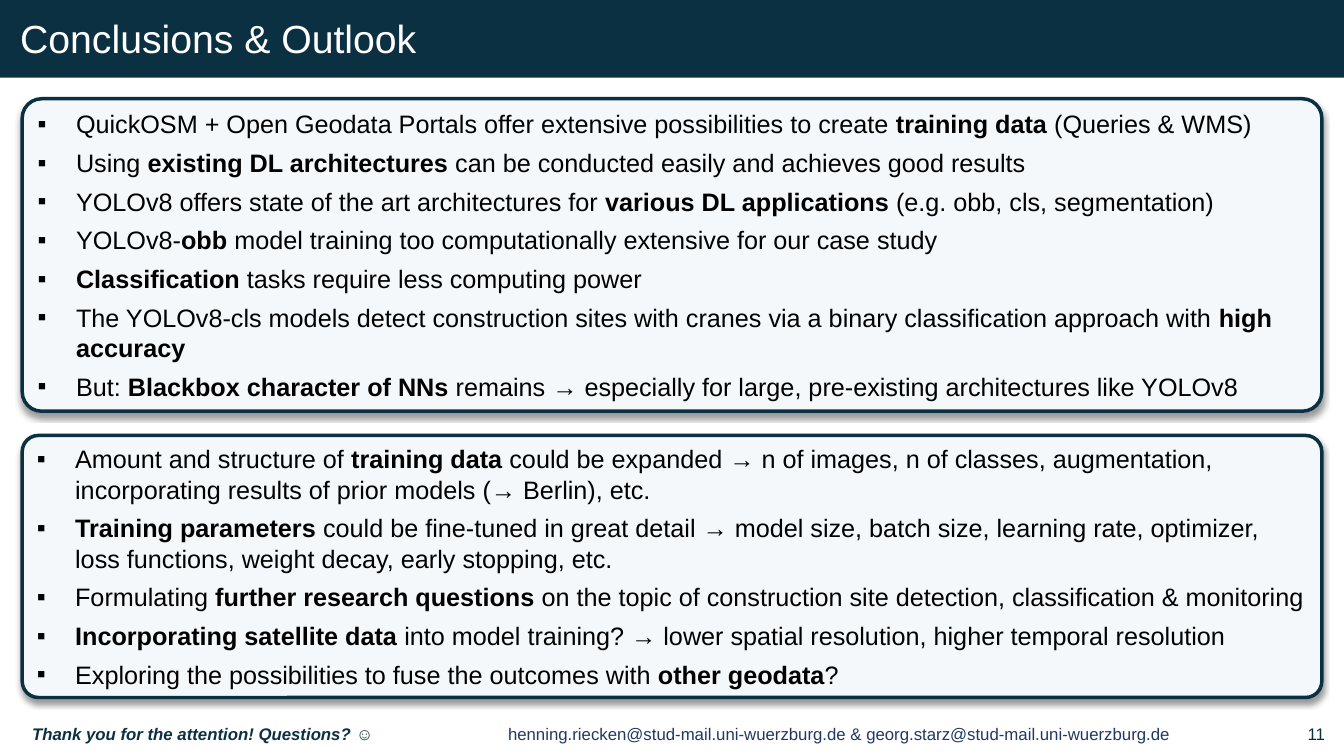
from lxml import etree
from pptx import Presentation
from pptx.dml.color import RGBColor
from pptx.enum.shapes import MSO_SHAPE
from pptx.enum.text import MSO_ANCHOR, PP_ALIGN
from pptx.oxml.ns import qn
from pptx.util import Inches, Pt

RECT, ROUND = MSO_SHAPE.RECTANGLE, MSO_SHAPE.ROUNDED_RECTANGLE
MIDDLE = MSO_ANCHOR.MIDDLE
LEFT, CENTER, RIGHT = PP_ALIGN.LEFT, PP_ALIGN.CENTER, PP_ALIGN.RIGHT
NAVY = RGBColor(0x0B, 0x30, 0x41)
BLUE = RGBColor(0x20, 0x38, 0x64)
PALE = RGBColor(0xF4, 0xF8, 0xFB)
WHITE = RGBColor(0xFF, 0xFF, 0xFF)
BLACK = RGBColor(0, 0, 0)
FONT = "Arial"
WIDTH, HEIGHT = 13.33, 7.5
EDGE = 0.22
INDENT = Inches(0.38)

RESULTS = [
    "QuickOSM + Open Geodata Portals offer extensive possibilities to create "
    "**training data** (Queries & WMS)",
    "Using **existing DL architectures **can be conducted easily and achieves good results",
    "YOLOv8 offers state of the art architectures for **various DL applications **"
    "(e.g. obb, cls, segmentation)",
    "YOLOv8-**obb **model training too computationally extensive for our case study",
    "**Classification **tasks require less computing power",
    "The YOLOv8-cls models detect construction sites with cranes via a binary "
    "classification approach with **high accuracy**",
    "But: **Blackbox character of NNs **remains → especially for large, "
    "pre-existing architectures like YOLOv8",
]
OUTLOOK = [
    "Amount and structure of **training data **could be expanded → n of images, "
    "n of classes, augmentation, incorporating results of prior models (→ Berlin), etc.",
    "**Training parameters **could be fine-tuned in great detail → model size, batch size, "
    "learning rate, optimizer, loss functions, weight decay, early stopping, etc.",
    "Formulating **further research questions** on the topic of construction site "
    "detection, classification & monitoring",
    "**Incorporating satellite data **into model training? → lower spatial resolution, "
    "higher temporal resolution",
    "Exploring the possibilities to fuse the outcomes with **other geodata**?",
]


def add_run(para, text, size, color, bold=False, italic=False):
    """Add one styled run to a paragraph."""
    run = para.add_run()
    run.text = text
    font = run.font
    font.name, font.size, font.bold, font.italic = FONT, Pt(size), bold, italic
    font.color.rgb = color


def add_box(slide, kind, box, fill):
    """Add a filled shape without line or shadow."""
    shape = slide.shapes.add_shape(kind, *map(Inches, box))
    shape.fill.solid()
    shape.fill.fore_color.rgb = fill
    shape.line.fill.background()
    shape.shadow.inherit = False
    frame = shape.text_frame
    frame.word_wrap, frame.vertical_anchor = True, MIDDLE
    return shape


def add_shade(shape):
    """Give a shape a soft shadow below it."""
    effects = shape.element.spPr.find(qn("a:effectLst"))
    shade = etree.SubElement(effects, qn("a:outerShdw"), blurRad=str(Pt(4)),
                             dist=str(Pt(3)), dir="5400000", algn="t", rotWithShape="0")
    color = etree.SubElement(shade, qn("a:srgbClr"), val="000000")
    etree.SubElement(color, qn("a:alpha"), val="40000")


def add_bullet(para):
    """Set a hanging square bullet on a paragraph."""
    props = para._p.get_or_add_pPr()
    props.set("marL", str(INDENT))
    props.set("indent", str(-INDENT))
    etree.SubElement(props, qn("a:buFont"), typeface=FONT)
    etree.SubElement(props, qn("a:buChar"), char="▪")


def add_title(slide, box, text):
    """Draw the title bar."""
    frame = add_box(slide, RECT, box, NAVY).text_frame
    frame.margin_left = Inches(0.2)
    para = frame.paragraphs[0]
    para.alignment = LEFT
    add_run(para, text, 28, WHITE)


def add_panel(slide, box, items):
    """Draw a rounded panel of bullets, with bold parts between double stars."""
    shape = add_box(slide, ROUND, box, PALE)
    shape.adjustments[0] = 0.062
    shape.line.color.rgb = NAVY
    shape.line.width = Pt(2.5)
    add_shade(shape)
    frame = shape.text_frame
    for row, item in enumerate(items):
        para = frame.add_paragraph() if row else frame.paragraphs[0]
        para.alignment, para.space_after = LEFT, Pt(6)
        add_bullet(para)
        for part, text in enumerate(item.split("**")):
            if text:
                add_run(para, text, 18, BLACK, bold=part % 2 == 1)


def add_note(slide, box, align):
    """Add a footer text box and return its paragraph."""
    frame = slide.shapes.add_textbox(*map(Inches, box)).text_frame
    frame.word_wrap, frame.vertical_anchor = True, MIDDLE
    para = frame.paragraphs[0]
    para.alignment = align
    return para


def add_footer(slide, top, high):
    """Place thanks, addresses and page number in the footer band."""
    thanks = add_note(slide, (EDGE, top, 3.69, high), LEFT)
    add_run(thanks, "Thank you for the attention! Questions? ", 12, NAVY, True, True)
    add_run(thanks, "☺", 12, NAVY, True)
    mail = add_note(slide, (4.82, top, 7.01, high), CENTER)
    add_run(mail, "henning.riecken@stud-mail.uni-wuerzburg.de & "
            "georg.starz@stud-mail.uni-wuerzburg.de", 12, BLUE)
    page = add_note(slide, (12.24, top, 1, high), RIGHT)
    add_run(page, "11", 12, NAVY)


def main():
    """Build and save the slide."""
    deck = Presentation()
    deck.slide_width, deck.slide_height = Inches(WIDTH), Inches(HEIGHT)
    slide = deck.slides.add_slide(deck.slide_layouts[6])
    wide = WIDTH - 2 * EDGE
    add_title(slide, (0, -0.02, WIDTH, 0.79), "Conclusions & Outlook")
    add_panel(slide, (EDGE, 0.98, wide, 3.1), RESULTS)
    add_panel(slide, (EDGE, 4.32, wide, 2.6), OUTLOOK)
    add_footer(slide, 7.08, 0.4)
    deck.save("out.pptx")


if __name__ == "__main__":
    main()
